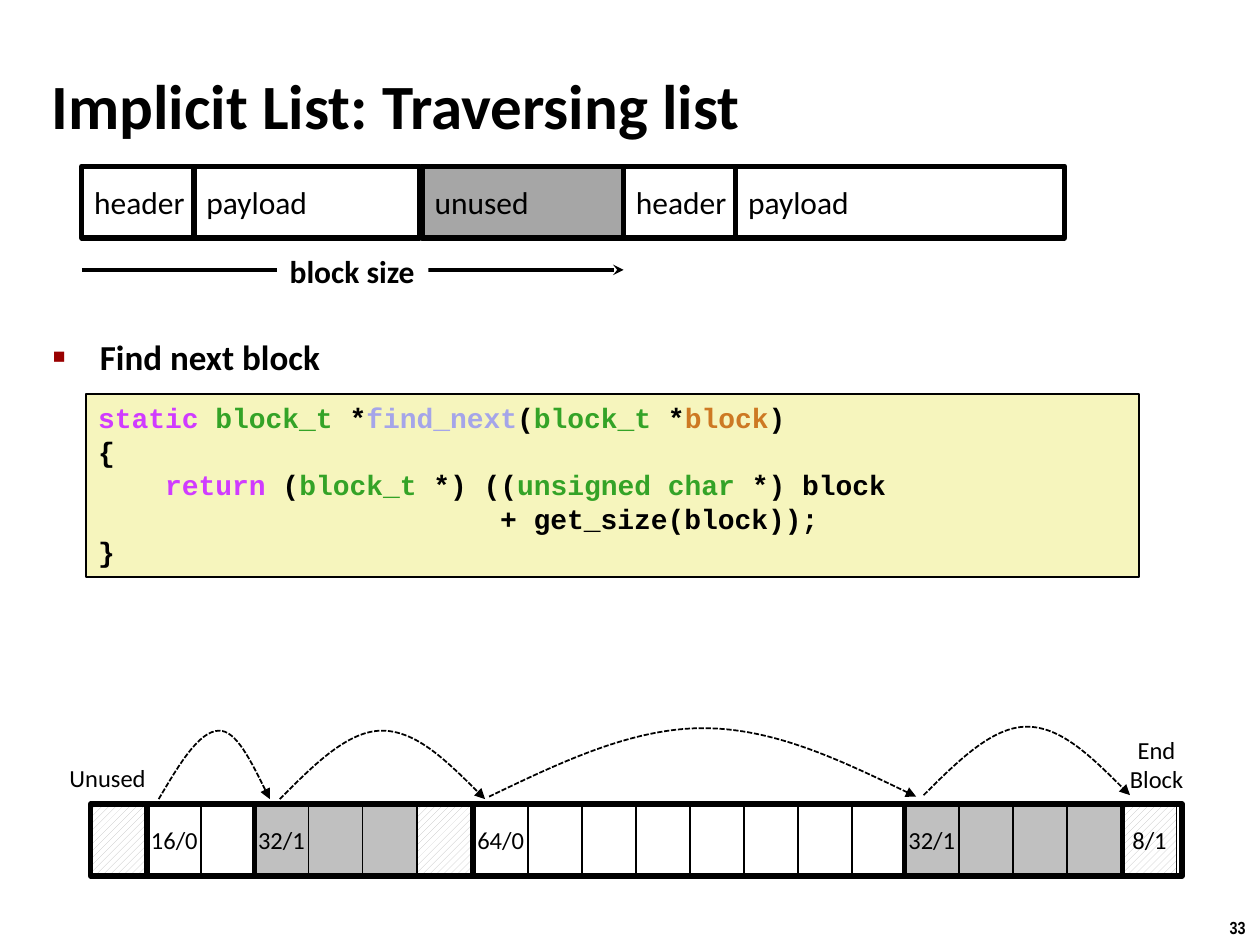
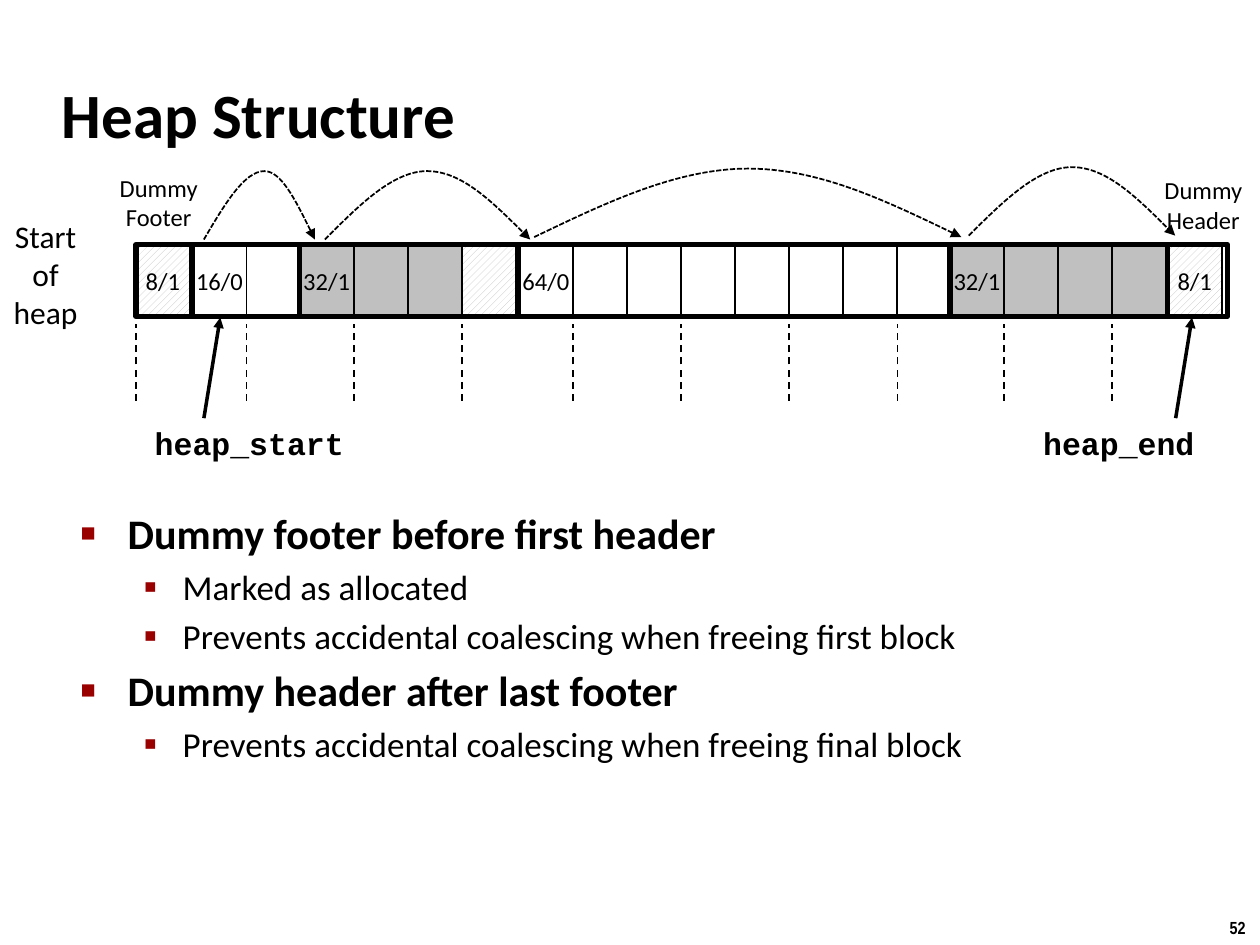
from lxml.etree import SubElement
from pptx import Presentation
from pptx.dml.color import RGBColor
from pptx.enum.dml import MSO_LINE, MSO_PATTERN
from pptx.enum.shapes import MSO_CONNECTOR, MSO_SHAPE
from pptx.enum.text import MSO_ANCHOR, MSO_AUTO_SIZE, PP_ALIGN
from pptx.oxml.ns import qn
from pptx.util import Cm, Pt

COLORS = {
    "black": "000000", "white": "FFFFFF", "allocated": "C0C0C0", "unused": "A6A6A6",
    "bullet": "990000", "code_box": "F6F5BD", "keyword": "D03BFF", "type": "34A327",
    "function": "A5A5E9", "variable": "CD7923",
}
BODY_FONT, CODE_FONT, NUMBER_FONT = "Calibri", "Courier New", "Arial Narrow"

# Bullet level: character, size in percent, left margin, hanging indent, text size, bold
BULLETS = [("■", 60, 0.95, 0.95, 24, True), ("▪", 110, 2.06, 0.79, 20, False)]

# Heap row, in cm from its top left corner
CELL_WIDTH, CELL_HEIGHT, HEAP_END = 1.09, 1.45, 21.95
HEAP_BLOCKS = [  # left edge, label, fill of each cell
    (-0.05, "", ["hatch"]),
    (1.09, "16/0", ["white"] * 2),
    (3.25, "32/1", ["allocated"] * 3 + ["hatch"]),
    (7.67, "64/0", ["white"] * 8),
    (16.36, "32/1", ["allocated"] * 4),
    (20.75, "8/1", ["hatch"]),
]
HEAP_JUMPS = [  # start, apex, end, base
    (1.32, 2.54, 3.56, -0.1),
    (3.76, 5.82, 7.9, -0.1),
    (7.98, 12.29, 16.59, -0.15),
    (16.74, 18.82, 20.9, -0.18),
]
JUMP_RISE = 1.38


def rgb(name):
    return RGBColor.from_string(COLORS[name])


class Deck:
    def __init__(self):
        self.presentation = Presentation()
        self.presentation.slide_width = Cm(25.4)
        self.presentation.slide_height = Cm(19.05)
        self.slide = None

    # Shared formatting
    def set_font(self, font, size, name=BODY_FONT, bold=False):
        font.name, font.size, font.bold = name, Pt(size), bold
        font.color.rgb = rgb("black")

    def set_fill(self, shape, fill):
        if fill is None:
            shape.fill.background()
        elif fill == "hatch":
            shape.fill.patterned()
            shape.fill.pattern = MSO_PATTERN.WIDE_UPWARD_DIAGONAL
            shape.fill.fore_color.rgb = rgb("allocated")
            shape.fill.back_color.rgb = rgb("white")
        else:
            shape.fill.solid()
            shape.fill.fore_color.rgb = rgb(fill)

    def set_line(self, shape, width, dash=None, arrow=None):
        if not width:
            shape.line.fill.background()
            return
        shape.line.color.rgb = rgb("black")
        shape.line.width = Pt(width)
        if dash:
            shape.line.dash_style = dash
        if arrow:
            outline = shape.element.spPr.find(qn("a:ln"))
            SubElement(outline, qn("a:tailEnd"), type=arrow)

    def set_text(self, shape, lines, size, name=BODY_FONT, bold=False,
                 align=PP_ALIGN.LEFT, anchor=MSO_ANCHOR.MIDDLE, wrap=False):
        """Each line is a string or a list of (text, colour) runs."""
        frame = shape.text_frame
        frame.word_wrap, frame.vertical_anchor = wrap, anchor
        frame.auto_size = MSO_AUTO_SIZE.NONE
        for index, line in enumerate(lines):
            paragraph = frame.add_paragraph() if index else frame.paragraphs[0]
            paragraph.alignment = align
            self.set_font(paragraph.font, size, name, bold)
            for text, color in [(line, "black")] if isinstance(line, str) else line:
                run = paragraph.add_run()
                run.text = text
                run.font.color.rgb = rgb(color)

    def place(self, shape, left, top, width, height):
        shape.left, shape.top = Cm(left), Cm(top)
        shape.width, shape.height = Cm(width), Cm(height)

    # Elements
    def start_slide(self, title, title_box, number):
        layout = self.presentation.slide_layouts[1]
        self.slide = self.presentation.slides.add_slide(layout)
        self.place(self.slide.shapes.title, *title_box)
        self.set_text(self.slide.shapes.title, [title], 36, bold=True, wrap=True)
        self.label([number], 24.54, 18.36, 0.86, 0.69, 10, name=NUMBER_FONT, bold=True,
                   align=PP_ALIGN.LEFT, anchor=MSO_ANCHOR.TOP)

    def bullets(self, items, box, top_size=24, line_spacing=None):
        body = self.slide.placeholders[1]
        self.place(body, *box)
        frame = body.text_frame
        frame.auto_size = MSO_AUTO_SIZE.NONE
        for index, (level, text) in enumerate(items):
            character, percent, margin, hanging, size, bold = BULLETS[level]
            size = size if level else top_size
            paragraph = frame.add_paragraph() if index else frame.paragraphs[0]
            paragraph.text, paragraph.level = text, level
            paragraph.space_before = Pt(size * 0.2 if index else 0)
            if line_spacing:
                paragraph.line_spacing = line_spacing
            properties = paragraph._p.get_or_add_pPr()
            properties.set("marL", str(Cm(margin)))
            properties.set("indent", str(-Cm(hanging)))
            color = SubElement(properties, qn("a:buClr"))
            SubElement(color, qn("a:srgbClr"), val=COLORS["bullet"])
            SubElement(properties, qn("a:buSzPct"), val=str(percent * 1000))
            SubElement(properties, qn("a:buChar"), char=character)
            self.set_font(paragraph.font, size, bold=bold)

    def box(self, left, top, width, height, fill=None, line=1):
        shape = self.slide.shapes.add_shape(
            MSO_SHAPE.RECTANGLE, Cm(left), Cm(top), Cm(width), Cm(height))
        shape.shadow.inherit = False
        self.set_fill(shape, fill)
        self.set_line(shape, line)
        return shape

    def label(self, lines, left, top, width, height, size=14, align=PP_ALIGN.CENTER, **style):
        shape = self.slide.shapes.add_textbox(Cm(left), Cm(top), Cm(width), Cm(height))
        self.set_text(shape, lines, size, align=align, **style)

    def line(self, start, end, width, dash=None, arrow=None):
        connector = self.slide.shapes.add_connector(
            MSO_CONNECTOR.STRAIGHT, *(Cm(value) for value in (*start, *end)))
        self.set_line(connector, width, dash, arrow)
        SubElement(connector.element.spPr, qn("a:effectLst"))

    def jump(self, start, apex, end, base):
        """Draw a dashed arc of two Bezier curves that meet at the apex."""
        peak, middle = base - JUMP_RISE, base - JUMP_RISE / 2
        rise, fall = (apex - start) / 3, (end - apex) / 3
        points = [(start + rise, middle), (apex - rise, peak), (apex, peak),
                  (apex + fall, peak), (end - fall, middle), (end, base)]
        builder = self.slide.shapes.build_freeform(Cm(start), Cm(base))
        builder.add_line_segments([(Cm(x), Cm(y)) for x, y in points], close=False)
        shape = builder.convert_to_shape()
        segments = list(shape.element.iter(qn("a:lnTo")))
        outline = segments[0].getparent()
        for first in (0, 3):
            curve = SubElement(outline, qn("a:cubicBezTo"))
            for segment in segments[first:first + 3]:
                curve.append(segment[0])
                outline.remove(segment)
        shape.shadow.inherit = False
        self.set_fill(shape, None)
        self.set_line(shape, 1, MSO_LINE.SQUARE_DOT, "triangle")

    def heap_row(self, left, top, first_label=""):
        """Draw cells, block frames and jumps; return the left edge of each cell."""
        cell_lefts = []
        for edge, text, fills in HEAP_BLOCKS:
            for index, fill in enumerate(fills):
                cell_lefts.append(left + edge + index * CELL_WIDTH)
                cell = self.box(cell_lefts[-1], top, CELL_WIDTH, CELL_HEIGHT, fill)
                cell_text = text or first_label
                if index == 0 and cell_text:
                    self.set_text(cell, [cell_text], 14, align=PP_ALIGN.CENTER)
        edges = [block[0] for block in HEAP_BLOCKS] + [HEAP_END]
        for edge, next_edge in zip(edges, edges[1:]):
            self.box(left + edge, top, next_edge - edge, CELL_HEIGHT, line=3)
        for start, apex, end, base in HEAP_JUMPS:
            self.jump(left + start, left + apex, left + end, top + base)
        return cell_lefts


def build_traversal(deck):
    deck.start_slide("Implicit List: Traversing list", (0.79, 1.3, 22.23, 1.6), "33")
    deck.bullets([(0, "Find next block")], (0.81, 6.78, 23.09, 11.76), 20, 0.83)

    # Code
    code = [
        [("static ", "keyword"), ("block_t", "type"), (" *", "black"),
         ("find_next", "function"), ("(", "black"), ("block_t", "type"),
         (" *", "black"), ("block", "variable"), (")", "black")],
        "{",
        [("    return", "keyword"), (" (", "black"), ("block_t", "type"),
         (" *) ((", "black"), ("unsigned char", "type"), (" *) block", "black")],
        "                        + get_size(block));",
        "}",
    ]
    code_box = deck.box(1.73, 7.95, 21.23, 3.68, "code_box")
    deck.set_text(code_box, code, 16, CODE_FONT, True, anchor=MSO_ANCHOR.TOP, wrap=True)

    # Block layout
    for text, left, width, fill in [
        ("header", 1.65, 2.26, None), ("payload", 3.91, 4.55, None),
        ("header", 12.57, 2.26, None), ("payload", 14.83, 6.63, None),
        ("unused", 8.51, 4.06, "unused"),
    ]:
        deck.set_text(deck.box(left, 3.35, width, 1.45, fill, 3), [text], 18)
    deck.line((1.65, 5.44), (12.57, 5.44), 2, arrow="stealth")
    size_box = deck.box(5.59, 4.95, 3.05, 1.02, "white", 0)
    deck.set_text(size_box, ["block size"], 18, bold=True, anchor=MSO_ANCHOR.TOP)

    # Heap
    deck.heap_row(1.88, 16.21)
    deck.label(["Unused"], 1.14, 15.24, 2.06, 0.86)
    deck.label(["End", "Block"], 22.5, 14.68, 1.63, 1.45)


def build_heap_structure(deck):
    deck.start_slide("Heap Structure", (0.99, 1.22, 21.08, 2.11), "52")
    deck.bullets([
        (0, "Dummy footer before first header"),
        (1, "Marked as allocated"),
        (1, "Prevents accidental coalescing when freeing first block"),
        (0, "Dummy header after last footer"),
        (1, "Prevents accidental coalescing when freeing final block"),
    ], (1.37, 10.11, 21.95, 4.67))

    # Heap with a mark at every second cell
    cell_lefts = deck.heap_row(2.79, 4.93, "8/1")
    for left in cell_lefts[::2]:
        deck.line((left, 8.08), (left, 6.53), 1, MSO_LINE.DASH)
    deck.label(["Start", "of", "heap"], -0.03, 4.24, 1.9, 2.57, 18)
    deck.label(["Dummy", "Footer"], 2.16, 3.35, 2.08, 1.45)
    deck.label(["Dummy", "Header"], 23.22, 3.4, 2.08, 1.45)

    # Pointers
    for name, text_left, width, foot in [
        ("heap_start", 2.87, 4.34, 4.11), ("heap_end", 20.78, 3.58, 23.7),
    ]:
        deck.line((foot, 8.43), (foot + 0.33, 6.4), 2, arrow="triangle")
        deck.label([name], text_left, 8.43, width, 1.02, 18, name=CODE_FONT, bold=True,
                   align=PP_ALIGN.LEFT, anchor=MSO_ANCHOR.TOP)


def main():
    deck = Deck()
    build_traversal(deck)
    build_heap_structure(deck)
    deck.presentation.save("out.pptx")


if __name__ == "__main__":
    main()
